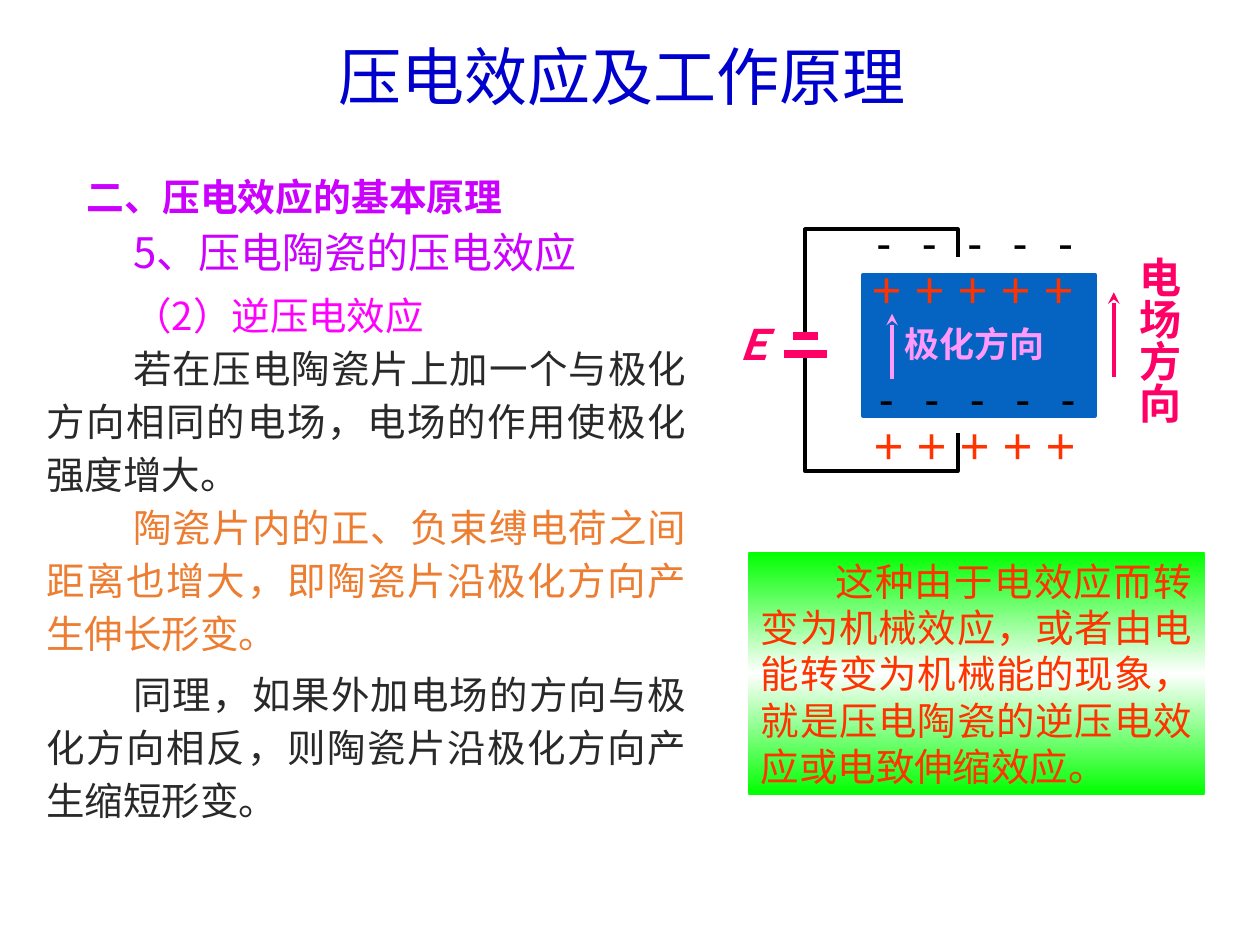
import copy
from lxml import etree
from pptx import Presentation
from pptx import util as u
from pptx.dml.color import RGBColor
from pptx.enum import shapes, text
from pptx.oxml import ns

COLS, ROWS = 100, 75
CELL = u.Inches(0.1)
SANS, SERIF = "Noto Sans CJK SC", "Times New Roman"
PAD, FLUSH = (1, 0.5), (0, 0)
COLORS = {
    "title": "0000CC", "violet": "CC00FF", "magenta": "FF00FF",
    "ink": "292929", "orange": "ED7D31", "red": "FF3300",
    "rose": "FF0066", "pink": "FF99FF", "ceramic": "0563C1",
    "wire": "000000", "green": "00FF00", "white": "FFFFFF",
}


def rgb(name):
    """Return the named colour."""
    return RGBColor.from_string(COLORS[name])


def grid(*values):
    """Turn grid cells into lengths."""
    return [u.Emu(round(v * CELL)) for v in values]


def add_text(tf, content, size=22, color="ink", font=SANS, bold=False, italic=False,
             align=text.PP_ALIGN.JUSTIFY, indent=0, spacing=1.0):
    """Add one formatted paragraph to a text frame."""
    p = tf.paragraphs[0] if not tf.text else tf.add_paragraph()
    p.alignment, p.line_spacing = align, spacing
    if indent:
        p._p.get_or_add_pPr().set("indent", str(grid(indent)[0]))
    r = p.add_run()
    r.text = content
    f = r.font
    f.size, f.name, f.bold, f.italic = u.Pt(size), font, bold, italic
    f.color.rgb = rgb(color)
    ea = etree.SubElement(r._r.get_or_add_rPr(), ns.qn("a:ea"))
    ea.set("typeface", SANS)


def set_frame(tf, pad=PAD, anchor=text.MSO_ANCHOR.TOP):
    """Set wrapping, margins and anchor of a text frame."""
    tf.word_wrap, tf.vertical_anchor = True, anchor
    tf.margin_left = tf.margin_right = grid(pad[0])[0]
    tf.margin_top = tf.margin_bottom = grid(pad[1])[0]


def add_box(s, box, *paragraphs, pad=PAD, anchor=text.MSO_ANCHOR.TOP, vertical=False):
    """Add a text box holding (text, format) paragraphs."""
    tf = s.shapes.add_textbox(*grid(*box)).text_frame
    set_frame(tf, pad, anchor)
    if vertical:
        tf._txBody.bodyPr.set("vert", "eaVert")
    for content, fmt in paragraphs:
        add_text(tf, content, **fmt)


def add_rect(s, box):
    """Add a rectangle without shadow."""
    sp = s.shapes.add_shape(shapes.MSO_SHAPE.RECTANGLE, *grid(*box))
    sp.shadow.inherit = False
    return sp


def add_line(s, x1, y1, x2, y2, color, width=2.25, arrow=False):
    """Add a straight line, with an optional arrowhead at its end."""
    cx = s.shapes.add_connector(shapes.MSO_CONNECTOR.STRAIGHT, *grid(x1, y1, x2, y2))
    cx.line.color.rgb, cx.line.width = rgb(color), u.Pt(width)
    if arrow:
        tail = etree.SubElement(cx.line._get_or_add_ln(), ns.qn("a:tailEnd"))
        tail.set("type", "stealth")
    etree.SubElement(cx._element.spPr, ns.qn("a:effectLst"))


def add_wire(s, points):
    """Add an open bent wire through the points."""
    start, *rest = [grid(*pt) for pt in points]
    fb = s.shapes.build_freeform(*start)
    fb.add_line_segments(rest, close=False)
    sp = fb.convert_to_shape()
    sp.shadow.inherit = False
    sp.fill.background()
    sp.line.color.rgb, sp.line.width = rgb("wire"), u.Pt(2.25)


def add_title(s, box):
    """Place the slide title."""
    add_box(s, box, ("压电效应及工作原理 ", dict(
        size=36, color="title", font=SERIF, align=text.PP_ALIGN.CENTER)))


def add_body(s, box):
    """Place the headings and explanations in the left column."""
    x, y, w, h = box
    line = dict(indent=6.9, spacing=1.15)
    add_box(s, (x, y + 8.6, w, 30.2),
            ("（2）逆压电效应", dict(line, color="magenta", spacing=1.05)),
            ("若在压电陶瓷片上加一个与极化方向相同的电场，电场的作用使极化强度增大。", line),
            ("陶瓷片内的正、负束缚电荷之间距离也增大，即陶瓷片沿极化方向产生伸长形变。",
             dict(line, color="orange")))
    add_box(s, (x + 3.2, y, 89.8, 3.9),
            ("二、压电效应的基本原理", dict(size=21.6, color="violet", bold=True,
                                 spacing=0.85, align=text.PP_ALIGN.LEFT)),
            anchor=text.MSO_ANCHOR.MIDDLE)
    add_box(s, (x, y + 3, w + 4.7, 5.6),
            ("5、压电陶瓷的压电效应", dict(line, size=24, color="violet")))
    add_box(s, (x, y + h - 13.7, w, 13.7),
            ("同理，如果外加电场的方向与极化方向相反，则陶瓷片沿极化方向产生缩短形变。", line))


def add_circuit(s, box):
    """Place the poled ceramic, its charges, the battery and the field arrow."""
    x, y, w, h = box
    label = dict(font=SERIF, bold=True)
    charge = dict(label, align=text.PP_ALIGN.LEFT)
    add_box(s, (x, y + 8.2, 5.2, 4.5),
            ("Ｅ", dict(label, size=24, color="rose", italic=True)), pad=FLUSH)
    add_box(s, (x + w - 6.3, y + 2.3, 6.3, 18.4),
            ("电场方向", dict(label, size=24, color="rose")), vertical=True)
    sp = add_rect(s, (x + 10.4, y + 4.7, 18.4, 11.2))
    sp.fill.solid()
    sp.fill.fore_color.rgb = sp.line.color.rgb = rgb("ceramic")
    sp.line.width = u.Pt(2.25)
    add_box(s, (x + 13.7, y + 8.5, 12, 4),
            ("极化方向", dict(label, size=20, color="pink")), pad=FLUSH)
    add_line(s, x + 12.7, y + 13, x + 12.7, y + 7.8, "pink", arrow=True)
    for dx, dy in ((0, 0), (0.2, 12.4)):
        add_box(s, (x + 11.5 + dx, y + dy, 20.6, 4.8),
                ("-   -   -   -   -", dict(charge, size=24, color="wire")), pad=FLUSH)
        add_box(s, (x + 10.9 + dx, y + 4.3 + dy, 19.3, 4),
                ("＋ ＋ ＋ ＋ ＋", dict(charge, size=20, color="red")), pad=FLUSH)
    left, right = x + 5.8, x + 17.9
    for inner, outer, end in ((9.4, 1.1, 3.3), (11.1, h, 17.3)):
        add_wire(s, [(left, y + inner), (left, y + outer),
                     (right, y + outer), (right, y + end)])
    for half, dy in ((1.7, 11), (1, 9.6)):
        add_line(s, left - half, y + dy, left + half, y + dy, "rose", 4.5)
    add_line(s, x + 30.3, y + 12.8, x + 30.3, y + 6.1, "rose", arrow=True)


def add_summary(s, box):
    """Place the conclusion on a mirrored gradient panel."""
    sp = add_rect(s, box)
    sp.line.fill.background()
    sp.fill.gradient()
    sp.fill.gradient_angle = 90
    last = sp.fill.gradient_stops[1]._gs
    last.addprevious(copy.deepcopy(last))
    stops = ((0, "green"), (0.5, "white"), (1, "green"))
    for stop, (position, color) in zip(sp.fill.gradient_stops, stops):
        stop.position, stop.color.rgb = position, rgb(color)
    set_frame(sp.text_frame)
    add_text(sp.text_frame,
             "这种由于电效应而转变为机械效应，或者由电能转变为机械能的现象，"
             "就是压电陶瓷的逆压电效应或电致伸缩效应。", color="red", indent=5.9)


def main():
    """Build and save the slide."""
    prs = Presentation()
    prs.slide_width, prs.slide_height = grid(COLS, ROWS)
    s = prs.slides.add_slide(prs.slide_layouts[6])
    add_circuit(s, (58.1, 17.1, 36.4, 20.3))
    add_body(s, (2.7, 13.9, 52.8, 52))
    add_summary(s, (59.4, 43.8, 36.2, 19.3))
    add_title(s, (9.8, 2.5, 80.3, 7))
    prs.save("out.pptx")


if __name__ == "__main__":
    main()
